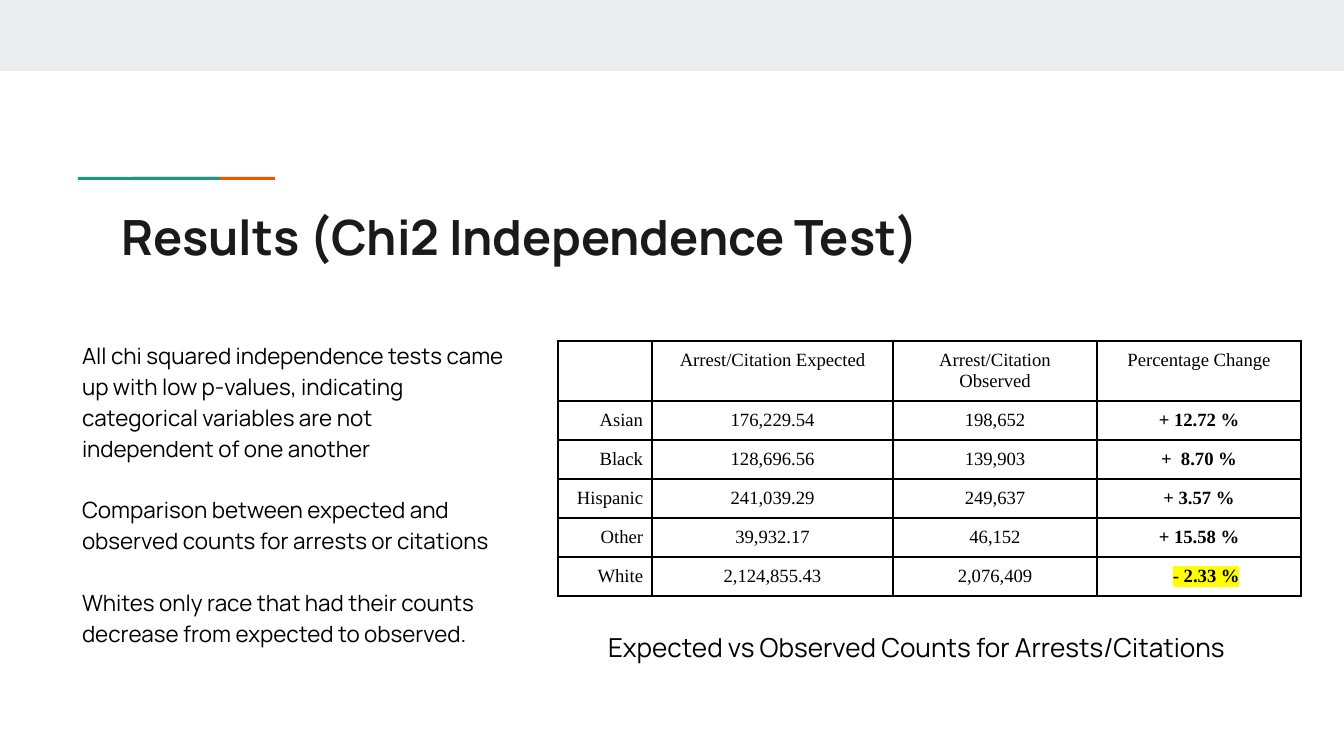
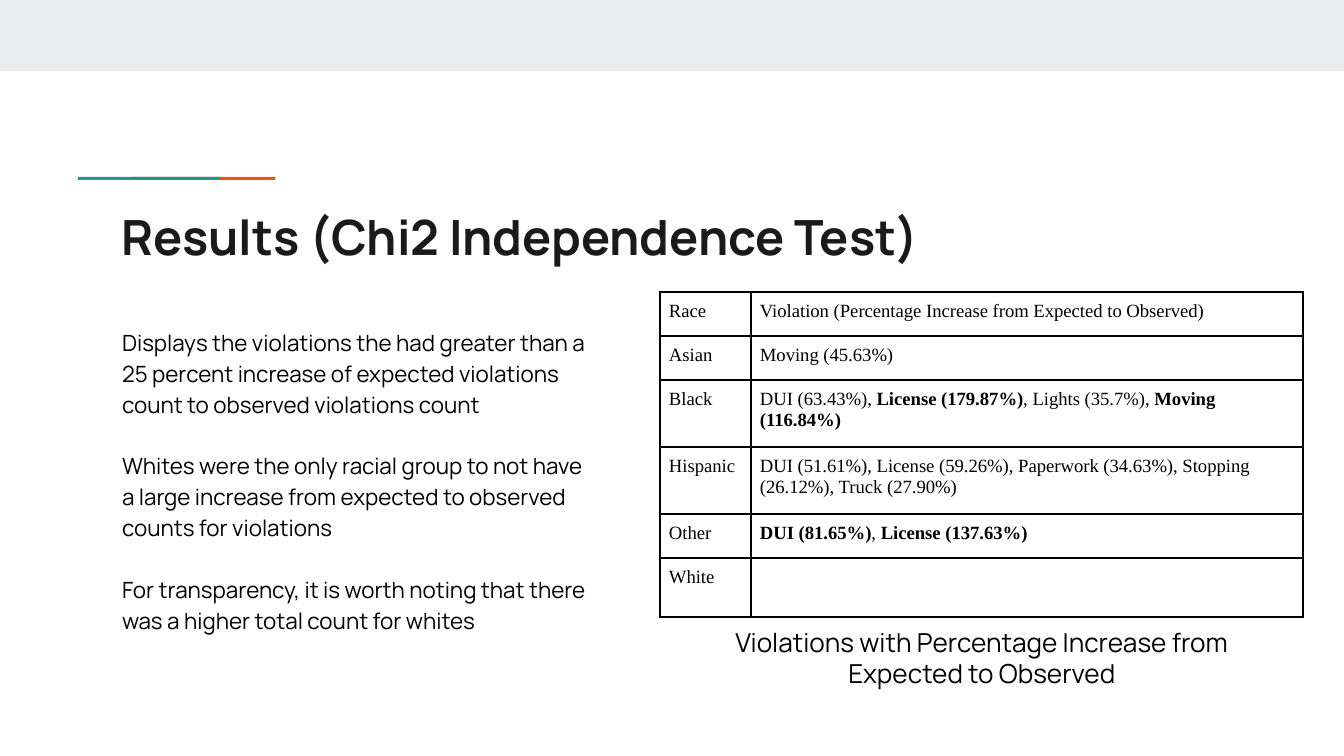
from dataclasses import dataclass

from lxml.etree import SubElement
from pptx import Presentation
from pptx.dml.color import RGBColor
from pptx.enum.shapes import MSO_SHAPE
from pptx.enum.text import MSO_ANCHOR, MSO_AUTO_SIZE, PP_ALIGN
from pptx.oxml.ns import qn
from pptx.util import Emu, Pt

LEFT, CENTER, RIGHT = PP_ALIGN.LEFT, PP_ALIGN.CENTER, PP_ALIGN.RIGHT


@dataclass(frozen=True)
class Theme:
    """Colours, fonts and type sizes of the deck."""
    band: str = "E9EDEE"
    teal: str = "1A9988"
    orange: str = "EB5600"
    heading: str = "1A1A1A"
    ink: str = "000000"
    marker: str = "FFFF00"
    sans: str = "Manrope"
    serif: str = "Times New Roman"
    title_size: float = 26
    caption_size: float = 14
    body_size: float = 12
    table_size: float = 10
    body_spacing: float = 1.15
    body_gap: float = 16.5
    border_width: float = 1


def px(length):
    """Turn pixels into EMU."""
    return Emu(round(length * 914400 / 134.4))


class Deck:
    """Holds the presentation, its theme and the current slide."""

    def __init__(self, theme):
        """Open an empty deck of the right size."""
        self.theme = theme
        self.file = Presentation()
        self.file.slide_width, self.file.slide_height = px(1344), px(756)
        self.slide = None

    def new_slide(self, heading):
        """Start a slide with the shared band, accent and title."""
        self.slide = self.file.slides.add_slide(self.file.slide_layouts[1])
        self.bar(0, 0, 1344, 71, self.theme.band)
        self.bar(133, 177, 142, 3, self.theme.orange)
        self.bar(78, 177, 142, 3, self.theme.teal)
        title = self.slide.shapes.title
        self.place(title, 108, 194, 1130, 79)
        title.text_frame.text = heading
        self.style(title.text_frame.paragraphs[0], self.theme.title_size,
                   color=self.theme.heading, bold=True)

    def bar(self, left, top, width, height, color):
        """Draw a plain filled rectangle."""
        bar = self.slide.shapes.add_shape(
            MSO_SHAPE.RECTANGLE, px(left), px(top), px(width), px(height))
        bar.shadow.inherit = False
        bar.fill.solid()
        bar.fill.fore_color.rgb = RGBColor.from_string(color)
        bar.line.fill.background()

    def place(self, holder, left, top, width, height, margin_top=13):
        """Position a text holder and set its frame."""
        holder.left, holder.top = px(left), px(top)
        holder.width, holder.height = px(width), px(height)
        frame = holder.text_frame
        frame.word_wrap = True
        frame.auto_size = MSO_AUTO_SIZE.NONE
        frame.vertical_anchor = MSO_ANCHOR.TOP
        frame.margin_left = frame.margin_right = frame.margin_bottom = px(13)
        frame.margin_top = px(margin_top)

    def style(self, paragraph, size, face=None, color=None, bold=None, align=LEFT):
        """Format a paragraph and all its runs."""
        paragraph.alignment = align
        for run in paragraph.runs:
            run.font.size = Pt(size)
            run.font.name = face or self.theme.sans
            run.font.color.rgb = RGBColor.from_string(color or self.theme.ink)
            if bold is not None:
                run.font.bold = bold

    def body(self, points, left, top, width, height, margin_top=13):
        """Fill the body placeholder with unbulleted paragraphs."""
        body = self.slide.placeholders[1]
        self.place(body, left, top, width, height, margin_top)
        body.text_frame.text = "\n".join(points)
        for index, paragraph in enumerate(body.text_frame.paragraphs):
            self.style(paragraph, self.theme.body_size)
            paragraph.line_spacing = self.theme.body_spacing
            paragraph.space_before = Pt(self.theme.body_gap if index else 0)
            properties = paragraph._p.get_or_add_pPr()
            properties.set("marL", "0")
            properties.set("indent", "0")
            SubElement(properties, qn("a:buNone"))

    def caption(self, wording, left, top, width, height, align=LEFT):
        """Add the caption below a table."""
        caption = self.slide.shapes.add_textbox(0, 0, 0, 0)
        self.place(caption, left, top, width, height)
        caption.text_frame.text = wording
        self.style(caption.text_frame.paragraphs[0], self.theme.caption_size, align=align)

    def table(self, rows, left, top, widths, heights, first_align=LEFT, align=LEFT):
        """Add a bordered table and return it; ** marks bold wording."""
        table = self.slide.shapes.add_table(
            len(rows), len(widths), px(left), px(top),
            px(sum(widths)), px(sum(heights))).table
        table.first_row = table.horz_banding = False
        for column, width in zip(table.columns, widths):
            column.width = px(width)
        for row, height, wordings in zip(table.rows, heights, rows):
            row.height = px(height)
            for index, (cell, wording) in enumerate(zip(row.cells, wordings)):
                self.fill_cell(cell, wording, align if index else first_align)
        return table

    def fill_cell(self, cell, wording, align):
        """Write one table cell and draw its borders."""
        cell.margin_left = cell.margin_right = px(9)
        cell.margin_top = cell.margin_bottom = px(9)
        cell.fill.background()
        paragraph = cell.text_frame.paragraphs[0]
        for index, part in enumerate(wording.split("**")):
            if part:
                run = paragraph.add_run()
                run.text = part
                run.font.bold = index % 2 == 1
        self.style(paragraph, self.theme.table_size, self.theme.serif, align=align)
        properties = cell._tc.get_or_add_tcPr()
        for position, side in enumerate(("lnL", "lnR", "lnT", "lnB")):
            border = SubElement(properties, qn(f"a:{side}"),
                                w=str(Pt(self.theme.border_width)))
            fill = SubElement(border, qn("a:solidFill"))
            SubElement(fill, qn("a:srgbClr"), val=self.theme.ink)
            properties.insert(position, border)

    def highlight(self, cell, indent):
        """Mark the wording of a cell and indent it from the left."""
        paragraph = cell.text_frame.paragraphs[0]
        paragraph.alignment = LEFT
        paragraph._p.get_or_add_pPr().set("marL", str(px(indent)))
        for run in paragraph.runs:
            properties = run._r.get_or_add_rPr()
            marker = SubElement(properties, qn("a:highlight"))
            SubElement(marker, qn("a:srgbClr"), val=self.theme.marker)
            properties.find(qn("a:solidFill")).addnext(marker)


HEADING = "Results (Chi2 Independence Test)"

COUNTS = [
    ("", "Arrest/Citation Expected", "Arrest/Citation Observed", "Percentage Change"),
    ("Asian", "176,229.54", "198,652", "**+ 12.72 %**"),
    ("Black", "128,696.56", "139,903", "**+  8.70 %**"),
    ("Hispanic", "241,039.29", "249,637", "**+ 3.57 %**"),
    ("Other", "39,932.17", "46,152", "**+ 15.58 %**"),
    ("White", "2,124,855.43", "2,076,409", "**- 2.33 %**"),
]

VIOLATIONS = [
    ("Race", "Violation (Percentage Increase from Expected to Observed)"),
    ("Asian", "Moving (45.63%)"),
    ("Black", "DUI (63.43%), **License (179.87%)**, Lights (35.7%), **Moving (116.84%)**"),
    ("Hispanic", "DUI (51.61%), License (59.26%), Paperwork (34.63%), "
                 "Stopping (26.12%), Truck (27.90%)"),
    ("Other", "**DUI (81.65%)**, **License (137.63%)**"),
    ("White", ""),
]


def main():
    """Build both result slides."""
    deck = Deck(Theme())

    deck.new_slide(HEADING)
    deck.body([
        "All chi squared independence tests came up with low p-values, indicating "
        "categorical variables are not independent of one another",
        "Comparison between expected and observed counts for arrests or citations",
        "Whites only race that had their counts decrease from expected to observed.",
    ], 69, 325, 452, 358)
    deck.caption("Expected vs Observed Counts for Arrests/Citations", 595, 618, 669, 65)
    counts = deck.table(COUNTS, 558, 341, [94, 241, 204, 204], [60] + [39] * 5,
                        first_align=RIGHT, align=CENTER)
    deck.highlight(counts.cell(5, 3), 67)

    deck.new_slide(HEADING)
    deck.body([
        "Displays the violations the had greater than a 25 percent increase of "
        "expected violations count to observed violations count",
        "Whites were the only racial group to not have a large increase from "
        "expected to observed counts for violations",
        "For transparency, it is worth noting that there was a higher total count "
        "for whites",
    ], 109, 281, 496, 362, margin_top=44)
    deck.table(VIOLATIONS, 660, 292, [91, 552], [44, 44, 67, 67, 44, 57])
    deck.caption("Violations with Percentage Increase from Expected to Observed",
                 673, 613, 618, 79, align=CENTER)

    deck.file.save("out.pptx")


if __name__ == "__main__":
    main()
